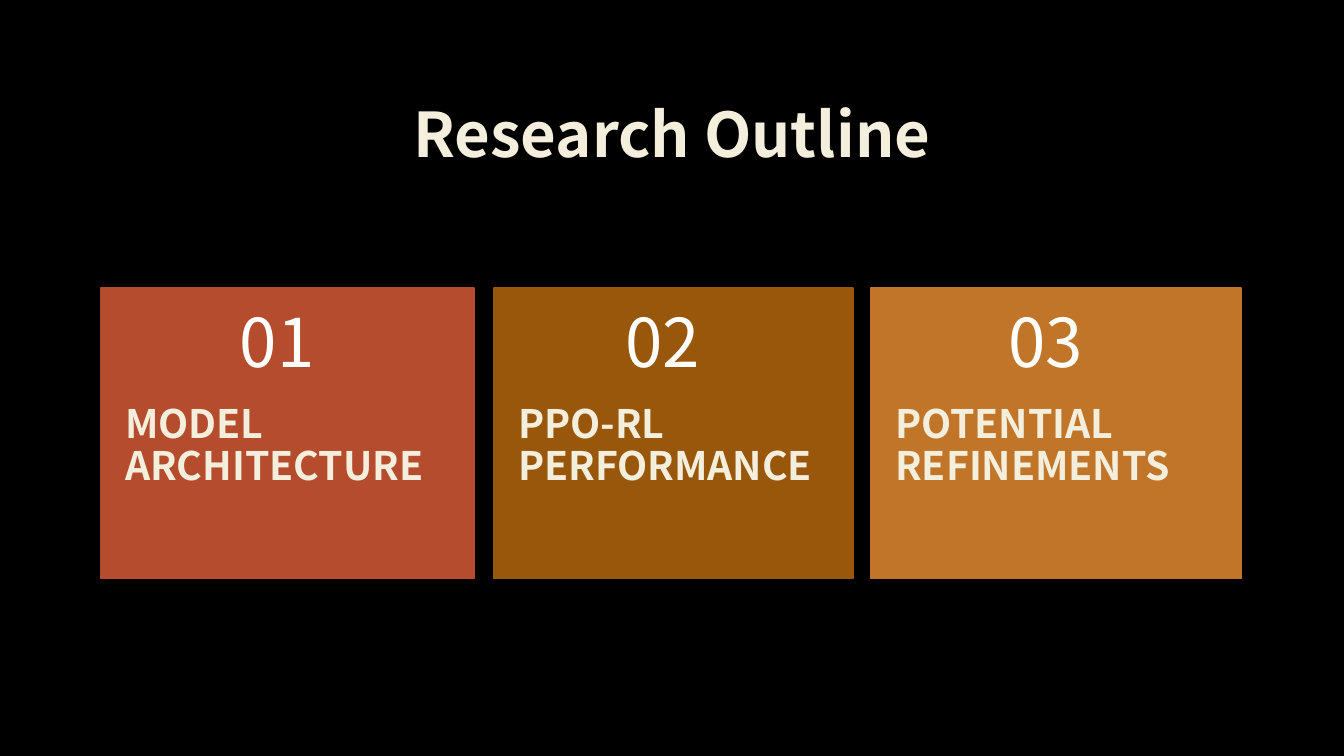
from dataclasses import dataclass

import lxml.etree
import pptx
import pptx.dml.color
import pptx.enum.shapes
import pptx.enum.text
import pptx.oxml
import pptx.oxml.ns
import pptx.util

Inches = pptx.util.Inches
Pt = pptx.util.Pt
RGBColor = pptx.dml.color.RGBColor
Anchor = pptx.enum.text.MSO_ANCHOR

FONT = "Noto Sans CJK SC"
BLACK = RGBColor(0x00, 0x00, 0x00)
WHITE = RGBColor(0xFF, 0xFF, 0xFF)
CREAM = RGBColor(0xF4, 0xEE, 0xDC)
RED = RGBColor(0xB5, 0x4C, 0x2D)
BROWN = RGBColor(0x99, 0x57, 0x0C)
AMBER = RGBColor(0xC1, 0x75, 0x29)

TOP = 2.86
HEAD = 1.15
BODY = 1.73


@dataclass
class Card:
    left: float
    width: float
    inset: float
    color: RGBColor
    label: str


CARDS = [
    Card(1, 3.7, 1.14, RED, "MODEL ARCHITECTURE"),
    Card(4.9, 3.56, 1.06, BROWN, "PPO-RL PERFORMANCE"),
    Card(8.64, 3.67, 1.12, AMBER, "POTENTIAL REFINEMENTS"),
]


def add_edge(run) -> None:
    """Give the letters a faint grey outline."""
    space = pptx.oxml.ns.nsdecls("a")
    edge = pptx.oxml.parse_xml(
        f'<a:ln {space} w="9525"><a:solidFill><a:srgbClr val="404040">'
        '<a:alpha val="10000"/></a:srgbClr></a:solidFill></a:ln>'
    )
    run.font._element.insert(0, edge)


def write(frame, text: str, size: int, color: RGBColor, bold: bool = False) -> None:
    frame.word_wrap = True
    frame.auto_size = pptx.enum.text.MSO_AUTO_SIZE.NONE
    line = frame.paragraphs[0]
    line.line_spacing = 0.9
    run = line.add_run()
    run.text = text
    font = run.font
    font.name = FONT
    font.size = Pt(size)
    font.bold = bold
    font.color.rgb = color
    if bold:
        add_edge(run)


def add_box(group, left: float, top: float, width: float, height: float,
            above: float, below: float):
    box = group.shapes.add_textbox(
        Inches(left), Inches(top), Inches(width), Inches(height))
    frame = box.text_frame
    frame.margin_left = frame.margin_right = Inches(0.24)
    frame.margin_top = Inches(above)
    frame.margin_bottom = Inches(below)
    return frame


def add_card(slide, card: Card, count: int) -> None:
    group = slide.shapes.add_group_shape()
    panel = group.shapes.add_shape(
        pptx.enum.shapes.MSO_SHAPE.RECTANGLE, Inches(card.left), Inches(TOP),
        Inches(card.width), Inches(HEAD + BODY))
    panel.shadow.inherit = False
    panel.fill.solid()
    panel.fill.fore_color.rgb = card.color
    panel.line.color.rgb = card.color
    panel.line.width = Pt(1.25)

    label = add_box(group, card.left, TOP + HEAD, card.width, BODY, 0, 0.36)
    write(label, card.label, 28, CREAM, True)

    number = add_box(group, card.left + card.inset, TOP, 2.4, HEAD, 0.18, 0.18)
    number.vertical_anchor = Anchor.MIDDLE
    write(number, f"{count:02}", 48, WHITE)


def add_title(slide) -> None:
    title = slide.shapes.title
    title.left, title.top = Inches(1.12), Inches(0.67)
    title.width, title.height = Inches(11.09), Inches(1.38)
    frame = title.text_frame
    frame.vertical_anchor = Anchor.MIDDLE
    write(frame, "Research Outline", 44, CREAM, True)
    frame.paragraphs[0].alignment = pptx.enum.text.PP_ALIGN.CENTER


def main() -> None:
    deck = pptx.Presentation()
    deck.slide_width = Inches(13.33)
    deck.slide_height = Inches(7.5)
    slide = deck.slides.add_slide(deck.slide_layouts[5])
    slide.background.fill.solid()
    slide.background.fill.fore_color.rgb = BLACK
    add_title(slide)
    for count, card in enumerate(CARDS, 1):
        add_card(slide, card, count)
    deck.save("out.pptx")


if __name__ == "__main__":
    main()
